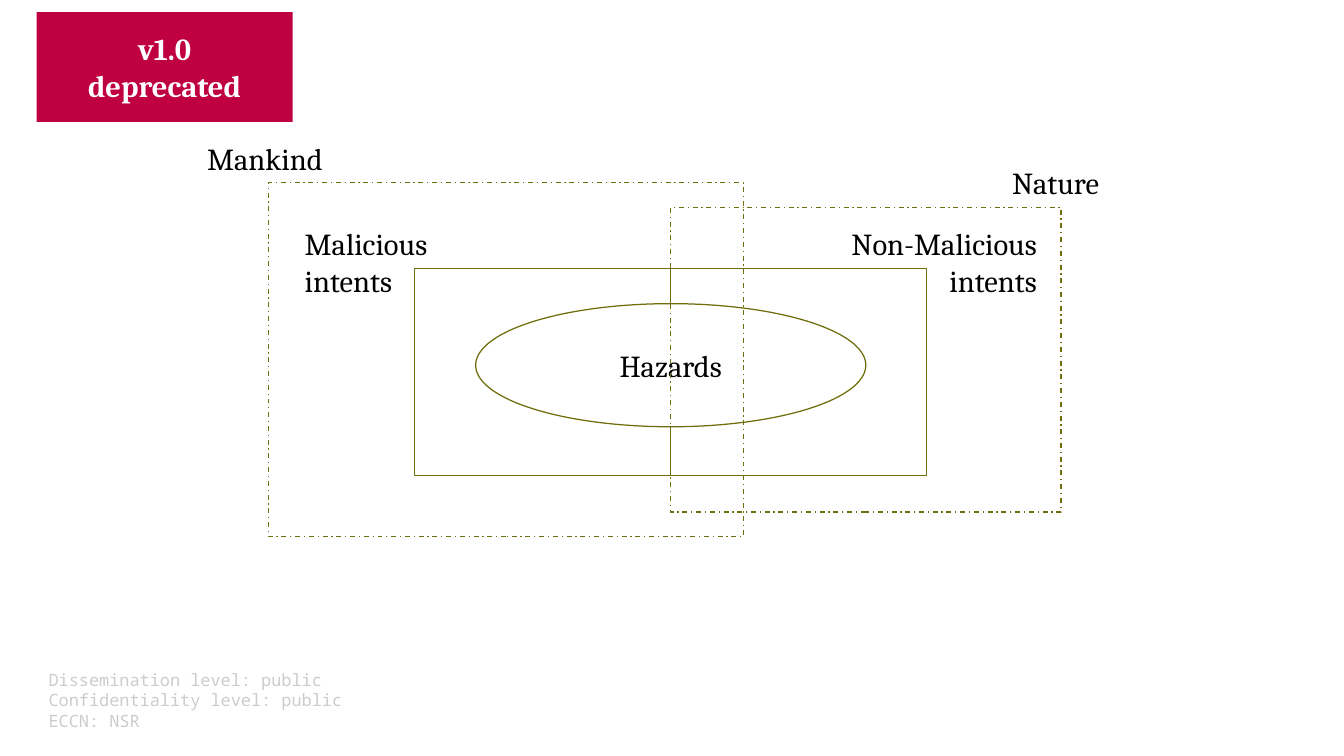
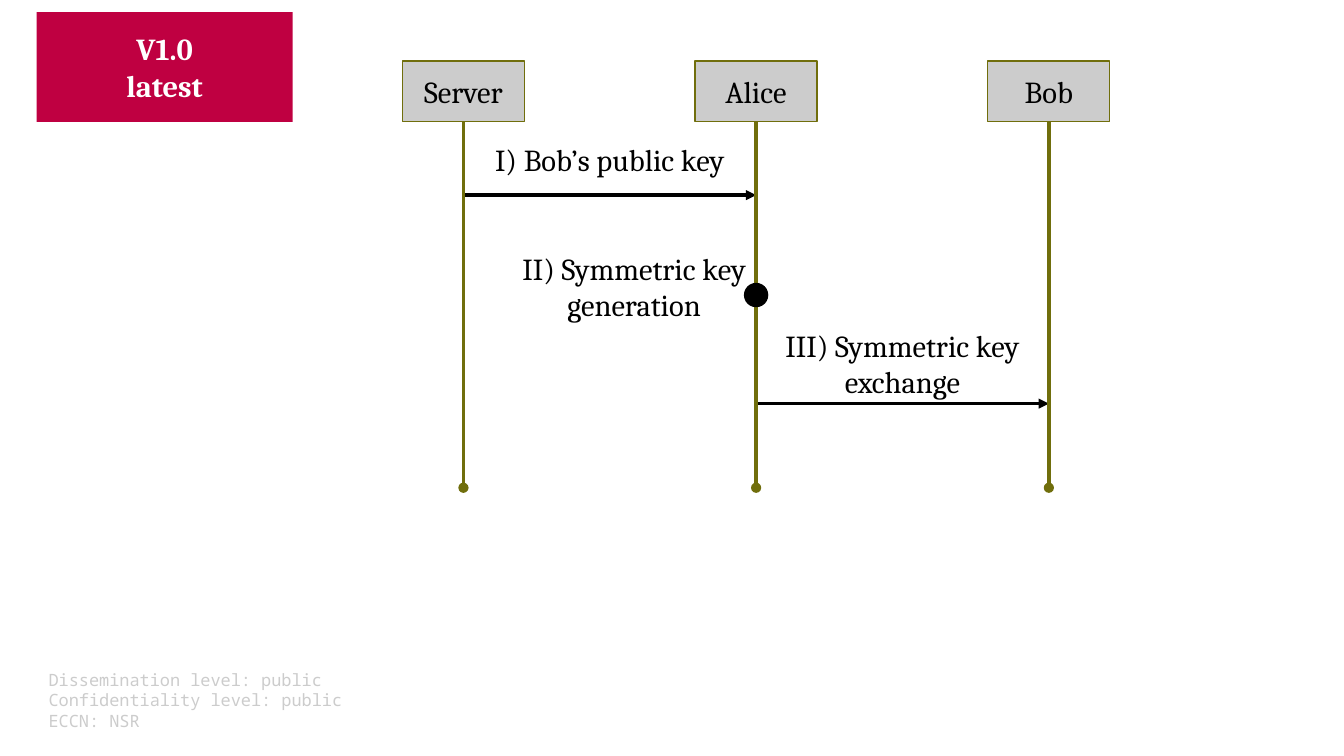
from lxml import etree
from pptx import Presentation
from pptx.dml.color import RGBColor
from pptx.enum.dml import MSO_LINE
from pptx.enum.shapes import MSO_CONNECTOR, MSO_SHAPE
from pptx.enum.text import MSO_ANCHOR, PP_ALIGN
from pptx.oxml.ns import qn
from pptx.util import Inches, Pt

RECT, OVAL = MSO_SHAPE.RECTANGLE, MSO_SHAPE.OVAL
LEFT, MID, RIGHT = PP_ALIGN.LEFT, PP_ALIGN.CENTER, PP_ALIGN.RIGHT
DASH = MSO_LINE.DASH_DOT
MIDDLE = MSO_ANCHOR.MIDDLE
STRAIGHT = MSO_CONNECTOR.STRAIGHT

WHITE, BLACK, GREY, OLIVE, RED = "FFFFFF", "000000", "CCCCCC", "706E0C", "BF0041"
BODY = {"name": "Cambria", "size": Pt(18), "color": BLACK}
BADGE = {**BODY, "bold": True, "color": WHITE}
NOTE = {"name": "Noto Sans Mono", "size": Pt(10), "color": GREY}

# Content shared by both slides
FOOTER = ["Dissemination level: public", "Confidentiality level: public", "ECCN: NSR"]
FOOT_AT, BADGE_AT = (0.3, 5.44, 5.81, 0.58), (0.3, 0.1, 2.1, 0.9)

# Hazard diagram: the nature frame and the inner pair meet at the axis
AXIS = 5.5
HALF, TOP, HIGH = 2.1, 2.2, 1.7
INTENTS = [
    ("Malicious intents", (2.4, 1.8, 1.5, 0.7), LEFT),
    ("Non-Malicious intents", (6.8, 1.8, 1.8, 0.7), RIGHT),
]
FRAMES = [(2.2, 1.5, 3.9, 2.9), (AXIS, 1.7, 3.2, 2.5)]
SOURCES = [
    ("Nature", (8.2, 1.3, 1, 0.4), LEFT),
    ("Mankind", (1.6, 1.1, 1.2, 0.4), LEFT),
]

# Key exchange: actors on equal columns, messages between them
ACTORS = ["Server", "Alice", "Bob"]
FIRST, STEP = 3.8, 2.4
HEAD_W, HEAD_H, LIFE = 1, 0.5, (1, 4)
MESSAGES = [(0, 1, 1.6), (1, 2, 3.31)]  # from, to, height
STEPS = [
    ("I) Bob’s public key", (3.9, 1.11, 2.2, 0.4)),
    ("II) Symmetric key generation", (4.1, 2, 2.2, 0.7)),
    ("III) Symmetric key exchange", (6.3, 2.63, 2.2, 0.7)),
]
DOT, DOT_Y = 0.2, 2.42


def rgb(code):
    return RGBColor.from_string(code)


def write(frame, lines, style, align):
    frame.word_wrap = True
    for i, line in enumerate(lines):
        para = frame.paragraphs[0] if i == 0 else frame.add_paragraph()
        para.alignment = align
        run = para.add_run()
        run.text = line
        for key, value in style.items():
            if key == "color":
                run.font.color.rgb = rgb(value)
            else:
                setattr(run.font, key, value)


def label(slide, at, lines, style=BODY, align=LEFT):
    box = slide.shapes.add_textbox(*map(Inches, at))
    write(box.text_frame, lines, style, align)


def shape(slide, kind, at, fill=None, line=None, dash=None, lines=(), style=BODY):
    item = slide.shapes.add_shape(kind, *map(Inches, at))
    item.shadow.inherit = False
    if fill:
        item.fill.solid()
        item.fill.fore_color.rgb = rgb(fill)
    else:
        item.fill.background()
    if line:
        item.line.color.rgb = rgb(line)
        item.line.width = 0
        if dash:
            item.line.dash_style = dash
    else:
        item.line.fill.background()
    if lines:
        item.text_frame.vertical_anchor = MIDDLE
        write(item.text_frame, lines, style, MID)


def link(slide, start, end, color, tip):
    wire = slide.shapes.add_connector(STRAIGHT, *map(Inches, start + end))
    wire.line.color.rgb = rgb(color)
    wire.line.width = 0
    props = wire._element.spPr
    etree.SubElement(props.find(qn("a:ln")), qn("a:tailEnd")).set("type", tip)
    etree.SubElement(props, qn("a:effectLst"))


def start(deck, badge):
    slide = deck.slides.add_slide(deck.slide_layouts[6])
    shape(slide, RECT, BADGE_AT, RED, lines=badge, style=BADGE)
    label(slide, FOOT_AT, FOOTER, NOTE)
    return slide


def hazards(deck):
    slide = start(deck, ["v1.0", "deprecated"])
    for text, at, align in INTENTS:
        label(slide, at, [text], align=align)
    # Inner pair and the hazard oval
    for left in (AXIS - HALF, AXIS):
        shape(slide, RECT, (left, TOP, HALF, HIGH), WHITE, OLIVE)
    shape(slide, OVAL, (AXIS - 1.6, 2.49, 3.2, 1.01), WHITE, OLIVE)
    label(slide, (AXIS - 0.6, 2.8, 1.2, 0.4), ["Hazards"], align=MID)
    # Dashed outer frames
    for at in FRAMES:
        shape(slide, RECT, at, line=OLIVE, dash=DASH)
    for text, at, align in SOURCES:
        label(slide, at, [text], align=align)


def keys(deck):
    slide = start(deck, ["V1.0", "latest"])
    cols = [FIRST + i * STEP for i in range(len(ACTORS))]
    # Actor heads and messages
    for x, name in zip(cols, ACTORS):
        at = (x - HEAD_W / 2, LIFE[0] - HEAD_H, HEAD_W, HEAD_H)
        shape(slide, RECT, at, GREY, OLIVE, lines=[name])
    for a, b, y in MESSAGES:
        link(slide, (cols[a], y), (cols[b], y), BLACK, "triangle")
    for text, at in STEPS:
        label(slide, at, [text], align=MID)
    # Lifelines and the key generation dot
    for x in cols:
        link(slide, (x, LIFE[0]), (x, LIFE[1]), OLIVE, "oval")
    shape(slide, OVAL, (cols[1] - DOT / 2, DOT_Y - DOT / 2, DOT, DOT), BLACK)


def main():
    deck = Presentation()
    deck.slide_width, deck.slide_height = Inches(11.02), Inches(6.2)
    hazards(deck)
    keys(deck)
    deck.save("out.pptx")


if __name__ == "__main__":
    main()
